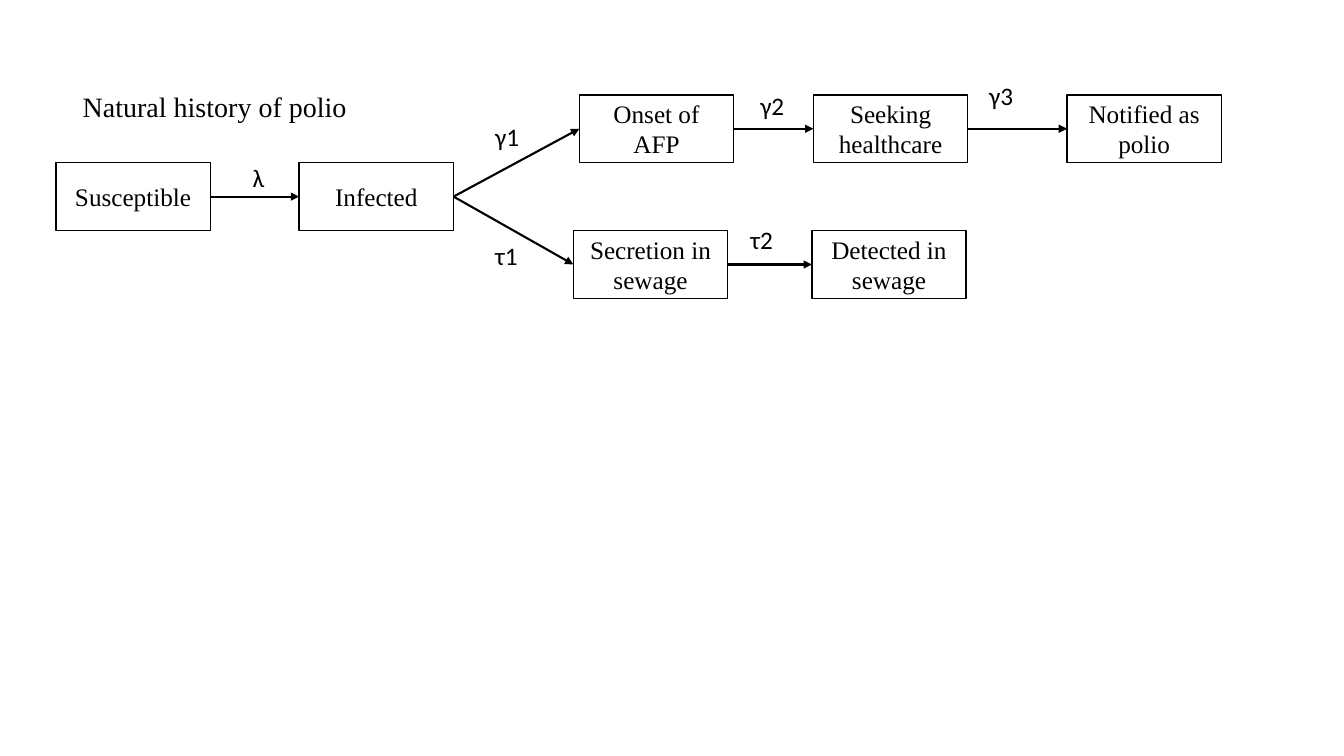
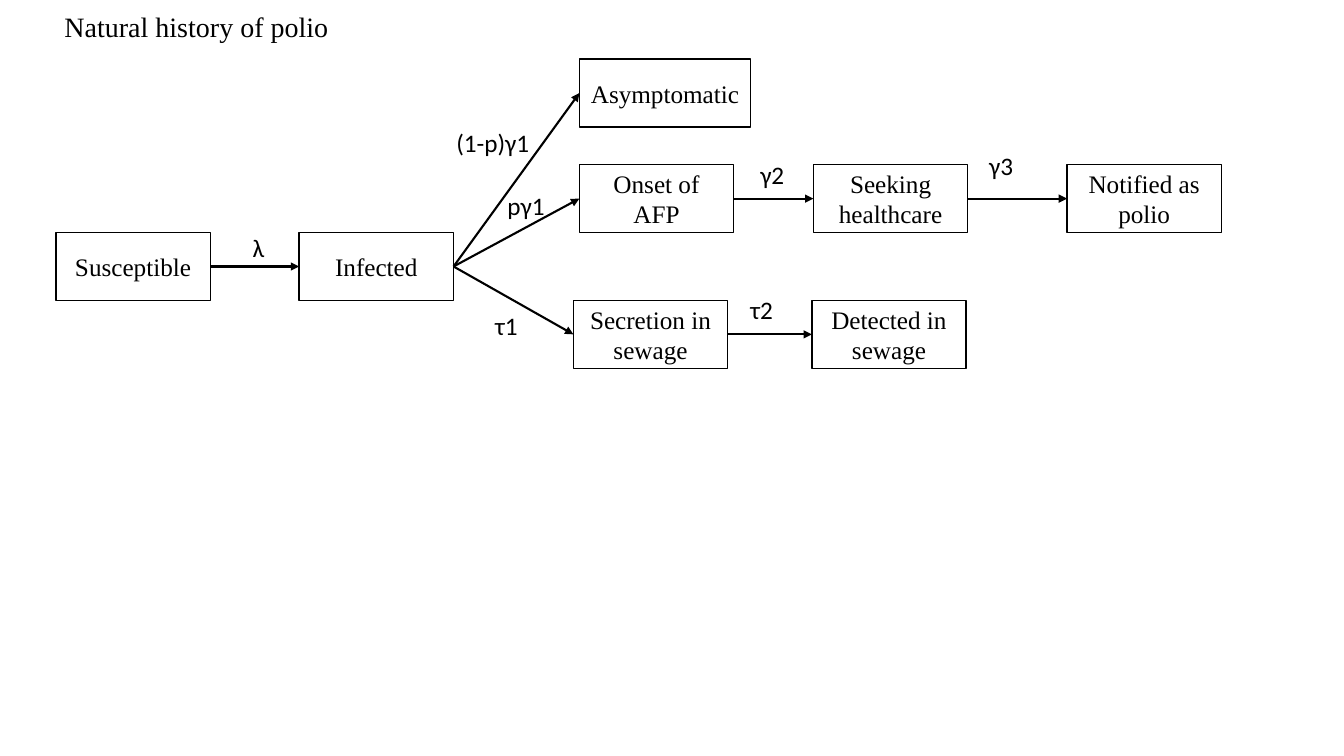
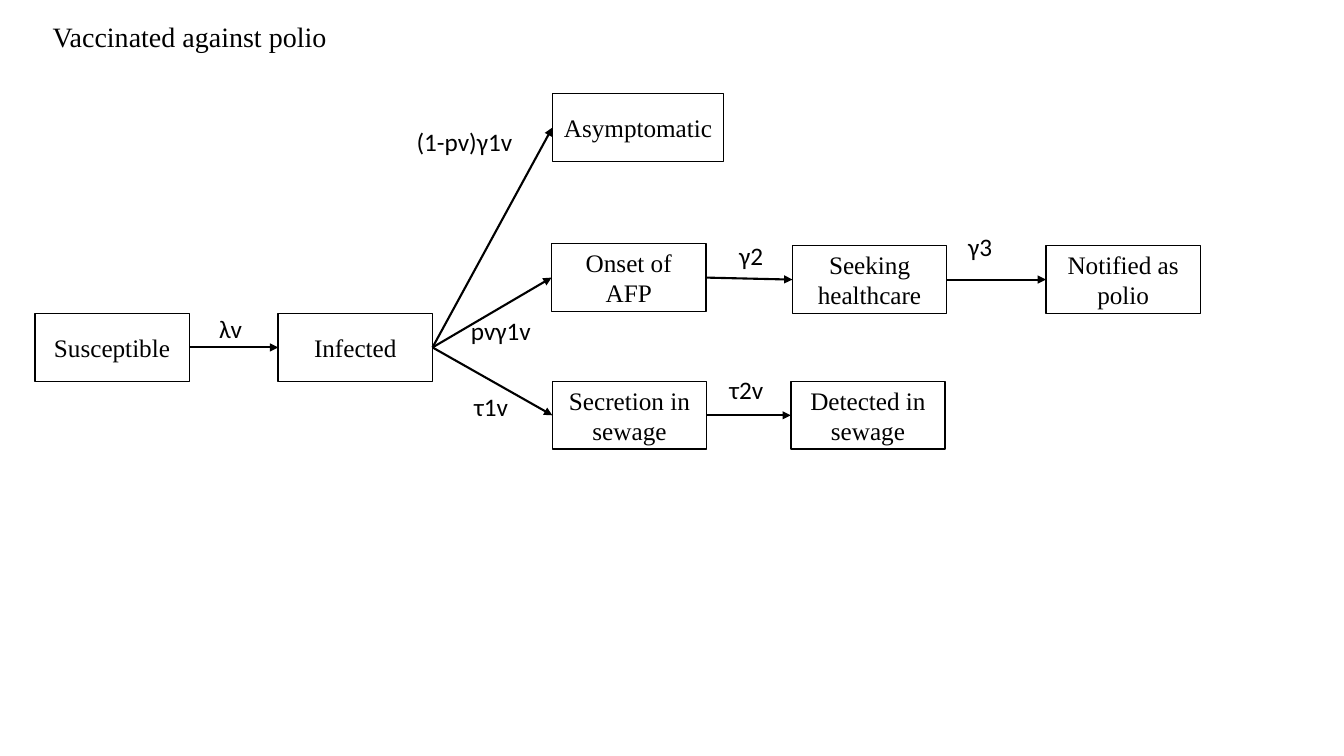
from dataclasses import dataclass, field

import pptx
import pptx.dml.color
import pptx.enum.shapes
import pptx.enum.text
import pptx.oxml
import pptx.oxml.ns
import pptx.shapes.autoshape
import pptx.slide
import pptx.text.text
import pptx.util

Cm = pptx.util.Cm
Pt = pptx.util.Pt
RIGHT, LEFT = 3, 1


@dataclass(frozen=True)
class Theme:
    ink: pptx.dml.color.RGBColor = pptx.dml.color.RGBColor(0, 0, 0)
    paper: pptx.dml.color.RGBColor = pptx.dml.color.RGBColor(255, 255, 255)
    serif: str = "Times New Roman"
    sans: str = "Calibri"
    title_pt: float = 20
    text_pt: float = 18
    box_line_pt: float = 1
    arrow_line_pt: float = 1.5
    box_width: float = 3.89
    box_height: float = 1.71
    label_height: float = 1.03
    title_height: float = 1.12


@dataclass(frozen=True)
class State:
    text: str
    x: float
    y: float
    width: float = 3.89


@dataclass(frozen=True)
class Rate:
    text: str
    x: float
    y: float
    width: float = 1.68


@dataclass(frozen=True)
class Model:
    title: str
    title_x: float
    title_y: float
    title_width: float
    x: float
    y: float
    states: dict[str, State] = field(default_factory=dict)
    rates: dict[str, Rate] = field(default_factory=dict)


THEME = Theme()
ROW = THEME.box_height

STATES = {
    "susceptible": State("Susceptible", 0, 0),
    "infected": State("Infected", 6.13, 0),
    "onset": State("Onset of AFP", 13.19, -ROW),
    "seeking": State("Seeking healthcare", 19.09, -ROW),
    "notified": State("Notified as polio", 25.48, -ROW),
    "secretion": State("Secretion in sewage", 13.04, ROW),
    "detected": State("Detected in sewage", 19.05, ROW),
}

FLOWS = [
    ("susceptible", "infected"),
    ("infected", "onset"),
    ("onset", "seeking"),
    ("seeking", "notified"),
    ("infected", "secretion"),
    ("secretion", "detected"),
    ("infected", "asymptomatic"),
]

RATES = {
    "infection": Rate("λ", 4.71, -0.13, 2.54),
    "onset": Rate("γ1", 10.82, -1.17),
    "seeking": Rate("γ2", 17.5, -1.96),
    "notified": Rate("γ3", 23.27, -2.2),
    "secretion": Rate("τ1", 10.82, 1.84),
    "detected": Rate("τ2", 17.25, 1.42),
}

MODELS = [
    Model("Natural history of polio", 1.83, 2.13, 7.67, 1.41, 4.1),
    Model(
        "Natural history of polio", 1.37, 0.1, 7.67, 1.41, 5.86,
        states={"asymptomatic": State("Asymptomatic", 13.19, -4.37, 4.32)},
        rates={
            "onset": Rate("pγ1", 11.13, -1.19),
            "asymptomatic": Rate("(1-p)γ1", 9.84, -2.77, 2.4),
        },
    ),
    Model(
        "Vaccinated against polio", 1.07, 0.36, 8.13, 0.88, 7.9,
        states={
            "onset": State("Onset of AFP", 13.02, -1.76),
            "asymptomatic": State("Asymptomatic", 13.04, -5.54, 4.32),
        },
        rates={
            "infection": Rate("λv", 4.39, -0.13, 2.54),
            "onset": Rate("pvγ1v", 10.74, -0.08, 3.33),
            "secretion": Rate("τ1v", 10.82, 1.84),
            "detected": Rate("τ2v", 17.25, 1.42),
            "asymptomatic": Rate("(1-pv)γ1v", 9.37, -4.85, 3.33),
        },
    ),
]


def write(
    tf: pptx.text.text.TextFrame,
    text: str,
    font: str,
    size: float,
    align: pptx.enum.text.PP_ALIGN = pptx.enum.text.PP_ALIGN.LEFT,
    anchor: pptx.enum.text.MSO_ANCHOR = pptx.enum.text.MSO_ANCHOR.TOP,
) -> None:
    tf.text = text
    tf.word_wrap = True
    tf.auto_size = pptx.enum.text.MSO_AUTO_SIZE.NONE
    tf.vertical_anchor = anchor
    p = tf.paragraphs[0]
    p.alignment = align
    r = p.runs[0]
    r.font.name = font
    r.font.size = Pt(size)
    r.font.color.rgb = THEME.ink


def add_title(slide: pptx.slide.Slide, model: Model) -> None:
    sp = slide.shapes.title
    sp.left, sp.top = Cm(model.title_x), Cm(model.title_y)
    sp.width, sp.height = Cm(model.title_width), Cm(THEME.title_height)
    write(sp.text_frame, model.title, THEME.serif, THEME.title_pt)


def add_state(
    slide: pptx.slide.Slide, model: Model, state: State
) -> pptx.shapes.autoshape.Shape:
    sp = slide.shapes.add_shape(
        pptx.enum.shapes.MSO_SHAPE.RECTANGLE,
        Cm(model.x + state.x), Cm(model.y + state.y),
        Cm(state.width), Cm(THEME.box_height),
    )
    sp.shadow.inherit = False
    sp.fill.solid()
    sp.fill.fore_color.rgb = THEME.paper
    sp.line.color.rgb = THEME.ink
    sp.line.width = Pt(THEME.box_line_pt)
    write(
        sp.text_frame, state.text, THEME.serif, THEME.text_pt,
        pptx.enum.text.PP_ALIGN.CENTER, pptx.enum.text.MSO_ANCHOR.MIDDLE,
    )
    return sp


def add_flow(
    slide: pptx.slide.Slide,
    source: pptx.shapes.autoshape.Shape,
    target: pptx.shapes.autoshape.Shape,
) -> None:
    line = slide.shapes.add_connector(
        pptx.enum.shapes.MSO_CONNECTOR.STRAIGHT, 0, 0, 0, 0
    )
    line.begin_connect(source, RIGHT)
    line.end_connect(target, LEFT)
    line.line.color.rgb = THEME.ink
    line.line.width = Pt(THEME.arrow_line_pt)
    sp_pr = line._element.spPr
    head = pptx.oxml.parse_xml(
        f'<a:tailEnd {pptx.oxml.ns.nsdecls("a")} type="triangle"/>'
    )
    sp_pr.find(pptx.oxml.ns.qn("a:ln")).append(head)
    sp_pr.append(
        pptx.oxml.parse_xml(f'<a:effectLst {pptx.oxml.ns.nsdecls("a")}/>')
    )


def add_rate(slide: pptx.slide.Slide, model: Model, rate: Rate) -> None:
    sp = slide.shapes.add_textbox(
        Cm(model.x + rate.x), Cm(model.y + rate.y),
        Cm(rate.width), Cm(THEME.label_height),
    )
    write(sp.text_frame, rate.text, THEME.sans, THEME.text_pt)


def add_model(prs: pptx.presentation.Presentation, model: Model) -> None:
    slide = prs.slides.add_slide(prs.slide_layouts.get_by_name("Title Only"))
    add_title(slide, model)
    boxes = {
        name: add_state(slide, model, state)
        for name, state in (STATES | model.states).items()
    }
    for source, target in FLOWS:
        if target in boxes:
            add_flow(slide, boxes[source], boxes[target])
    for rate in (RATES | model.rates).values():
        add_rate(slide, model, rate)


def main() -> None:
    prs = pptx.Presentation()
    prs.slide_width = Cm(33.87)
    prs.slide_height = Cm(19.05)
    for model in MODELS:
        add_model(prs, model)
    prs.save("out.pptx")


if __name__ == "__main__":
    main()
